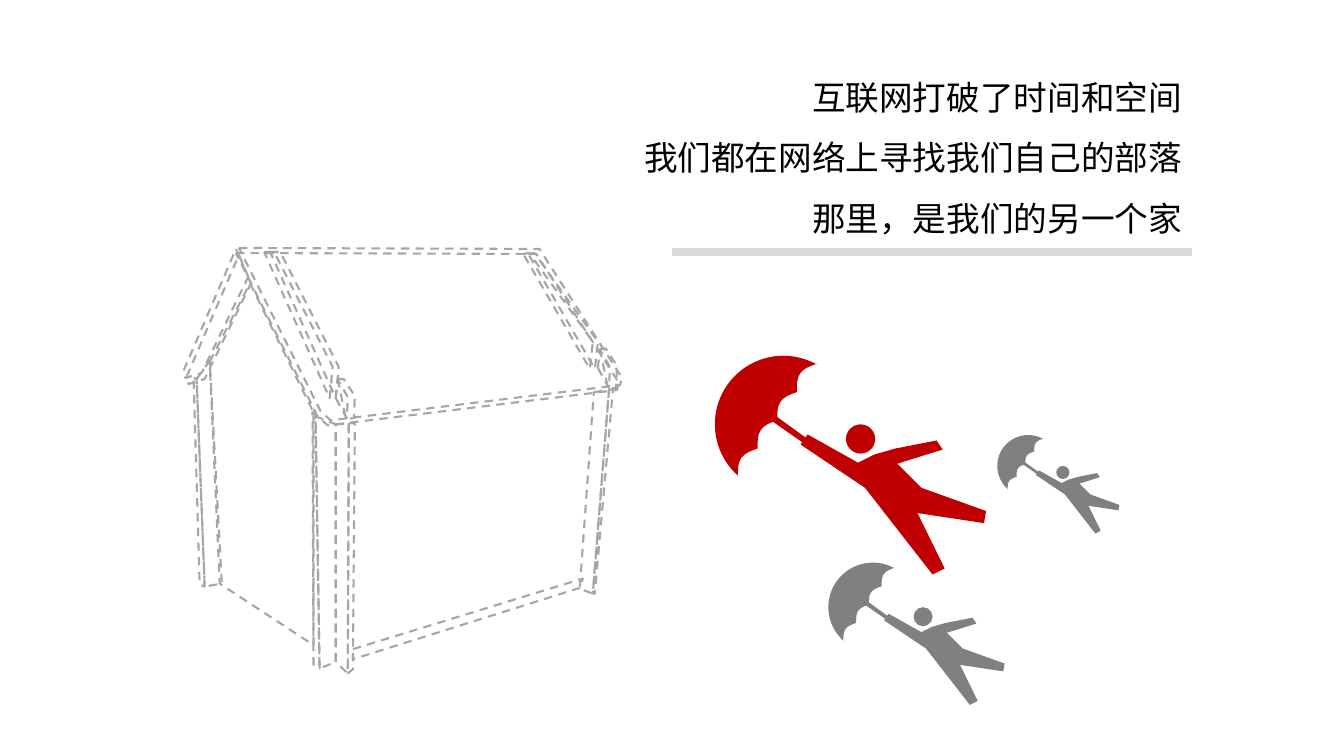
"""Build a slide with a dashed house, three flying figures and a right-aligned statement."""
from math import cos, pi, radians, sin

from lxml import etree
from pptx import Presentation
from pptx.dml.color import RGBColor
from pptx.enum.dml import MSO_LINE
from pptx.enum.shapes import MSO_CONNECTOR, MSO_SHAPE
from pptx.enum.text import MSO_AUTO_SIZE, PP_ALIGN
from pptx.oxml.ns import qn
from pptx.util import Inches, Pt

DASH = MSO_LINE.DASH
STRAIGHT = MSO_CONNECTOR.STRAIGHT
OVAL = MSO_SHAPE.OVAL
RIGHT = PP_ALIGN.RIGHT
FIT_SHAPE = MSO_AUTO_SIZE.SHAPE_TO_FIT_TEXT

FONT = "Noto Sans CJK SC"
BLACK, RED, GRAY = "000000", "C00000", "808080"
HOUSE_GRAY, RULE_GRAY = "A6A6A6", "D9D9D9"

STATEMENT = [
    "互联网打破了时间和空间",
    "我们都在网络上寻找我们自己的部落",
    "那里，是我们的另一个家",
]

GABLE_WALL = [(2.08, 3.59), (2.48, 2.81), (3.11, 4.09), (3.11, 6.4), (2.18, 5.79)]
BASE_RAIL = [(3.5, 6.44), (5.78, 5.74), (5.76, 5.83), (3.5, 6.54)]

# Each post is a row of upright edges; neighbouring edges bound one face.
POSTS = [
    [((1.92, 3.75), (1.98, 5.8)), ((1.95, 3.76), (2.03, 5.82)), ((2.08, 3.58), (2.2, 5.79))],
    [((3.1, 4.08), (3.11, 6.61)), ((3.13, 4.13), (3.17, 6.63)), ((3.33, 4.21), (3.33, 6.57)),
     ((3.46, 4.2), (3.45, 6.68)), ((3.52, 4.2), (3.5, 6.64))],
    [((5.89, 3.89), (5.75, 5.84)), ((6.04, 3.87), (5.88, 5.89)), ((6.08, 3.86), (5.9, 5.89))],
]

# Each roof part appears twice, the second time moved by the given offset.
ROOF_PARTS = [
    ([(2.37, 2.46), (5.35, 2.47), (6.17, 3.75), (6.15, 3.82), (3.28, 4.17), (3.18, 4.08)],
     (-0.03, 0.05)),
    ([(2.34, 2.47), (2.46, 2.75), (2, 3.7), (1.84, 3.75), (1.82, 3.68)], (0.03, 0.06)),
    ([(2.68, 2.5), (2.78, 2.5), (3.36, 3.64), (3.33, 3.95)], (-0.06, 0)),
    ([(5.24, 2.52), (5.3, 2.51), (5.93, 3.39), (5.9, 3.66)], (-0.05, 0)),
    ([(3.35, 3.76), (3.41, 3.76), (3.52, 3.93), (3.51, 4.15), (3.43, 4.15)], (2.6, -0.3)),
    ([(3.33, 3.95), (3.35, 3.77), (3.45, 3.94), (3.44, 4.15)], (2.6, -0.3)),
]

FIGURE_CORNER = (7.02, 3.45)
HEAD_CORNER, HEAD_SIZE = (8.39, 4.21), 0.29
BODY = [
    (9.78, 5.07), (9.14, 4.84), (8.9, 4.6), (9.35, 4.46), (9.29, 4.37), (8.88, 4.45),
    (8.67, 4.51), (8.51, 4.59), (8.01, 4.31), (7.94, 4.41), (8.58, 4.84), (9.25, 5.7),
    (9.37, 5.64), (9.1, 5.09), (9.76, 5.19),
]
HANDLE = [(7.66, 4.18), (7.7, 4.13), (8.03, 4.37), (7.99, 4.41)]
CANOPY_CENTER, CANOPY_RADIUS = (7.77, 4.21), 0.68
CANOPY_ANGLES = (131, 299)
CANOPY_TIPS = ((8.1, 3.61), (7.32, 4.73))
SCALLOPS, SCALLOP_DEPTH = 4, 0.08
FIGURES = [
    ((7.02, 3.45), 1, RED),
    ((8.17, 5.53), 0.65, GRAY),
    ((9.86, 4.28), 0.45, GRAY),
]


def color(hex_string):
    return RGBColor.from_string(hex_string)


def shift(outline, offset):
    return [(x + offset[0], y + offset[1]) for x, y in outline]


def house_outlines():
    outlines = [GABLE_WALL, BASE_RAIL]
    for edges in POSTS:
        for (top, bottom), (next_top, next_bottom) in zip(edges, edges[1:]):
            outlines.append([top, next_top, next_bottom, bottom])
    for part, offset in ROOF_PARTS:
        outlines += [part, shift(part, offset)]
    return outlines


def canopy_outline():
    center_x, center_y = CANOPY_CENTER
    points = []
    for degrees in range(CANOPY_ANGLES[0], CANOPY_ANGLES[1] + 1, 4):
        angle = radians(degrees)
        points.append((center_x + CANOPY_RADIUS * cos(angle),
                       center_y + CANOPY_RADIUS * sin(angle)))
    (start_x, start_y), (end_x, end_y) = CANOPY_TIPS
    run, rise = end_x - start_x, end_y - start_y
    length = (run ** 2 + rise ** 2) ** 0.5
    steps = SCALLOPS * 8
    for step in range(steps + 1):
        share = step / steps
        depth = SCALLOP_DEPTH * abs(sin(pi * SCALLOPS * share)) / length
        points.append((start_x + run * share - rise * depth,
                       start_y + rise * share + run * depth))
    return points


def draw_outline(group, points):
    corners = [(Inches(x), Inches(y)) for x, y in points]
    builder = group.shapes.build_freeform(*corners[0], scale=1.0)
    builder.add_line_segments(corners[1:], close=True)
    shape = builder.convert_to_shape()
    shape.shadow.inherit = False
    return shape


def paint(shape, hex_string):
    shape.fill.solid()
    shape.fill.fore_color.rgb = color(hex_string)
    shape.line.fill.background()


def draw_house(slide):
    group = slide.shapes.add_group_shape()
    for outline in house_outlines():
        shape = draw_outline(group, outline)
        shape.fill.background()
        shape.line.color.rgb = color(HOUSE_GRAY)
        shape.line.width = Pt(1.5)
        shape.line.dash_style = DASH


def draw_figure(slide, corner, scale, hex_string):
    def place(point):
        return tuple(start + (value - origin) * scale
                     for start, value, origin in zip(corner, point, FIGURE_CORNER))

    group = slide.shapes.add_group_shape()
    left, top = place(HEAD_CORNER)
    size = Inches(HEAD_SIZE * scale)
    head = group.shapes.add_shape(OVAL, Inches(left), Inches(top), size, size)
    head.shadow.inherit = False
    paint(head, hex_string)
    for outline in (BODY, HANDLE, canopy_outline()):
        paint(draw_outline(group, [place(point) for point in outline]), hex_string)


def add_statement(slide):
    box = slide.shapes.add_textbox(Inches(5.78), Inches(0.51), Inches(6.04), Inches(1.92))
    frame = box.text_frame
    frame.word_wrap = True
    frame.auto_size = FIT_SHAPE
    frame.text = "\n".join(STATEMENT)
    for paragraph in frame.paragraphs:
        paragraph.alignment = RIGHT
        paragraph.line_spacing = 1.5
        font = paragraph.font
        font.size = Pt(24)
        font.color.rgb = color(BLACK)
        font.name = FONT
        etree.SubElement(font._element, qn("a:ea"), typeface=FONT)


def add_rule(slide):
    rule = slide.shapes.add_connector(
        STRAIGHT, Inches(6.67), Inches(2.5), Inches(11.82), Inches(2.5))
    rule.line.color.rgb = color(RULE_GRAY)
    rule.line.width = Pt(6)
    etree.SubElement(rule._element.spPr, qn("a:effectLst"))


def main():
    presentation = Presentation()
    presentation.slide_width = Inches(13.33)
    presentation.slide_height = Inches(7.5)
    slide = presentation.slides.add_slide(presentation.slide_layouts[6])
    draw_house(slide)
    for corner, scale, hex_string in FIGURES:
        draw_figure(slide, corner, scale, hex_string)
    add_statement(slide)
    add_rule(slide)
    presentation.save("out.pptx")


if __name__ == "__main__":
    main()
